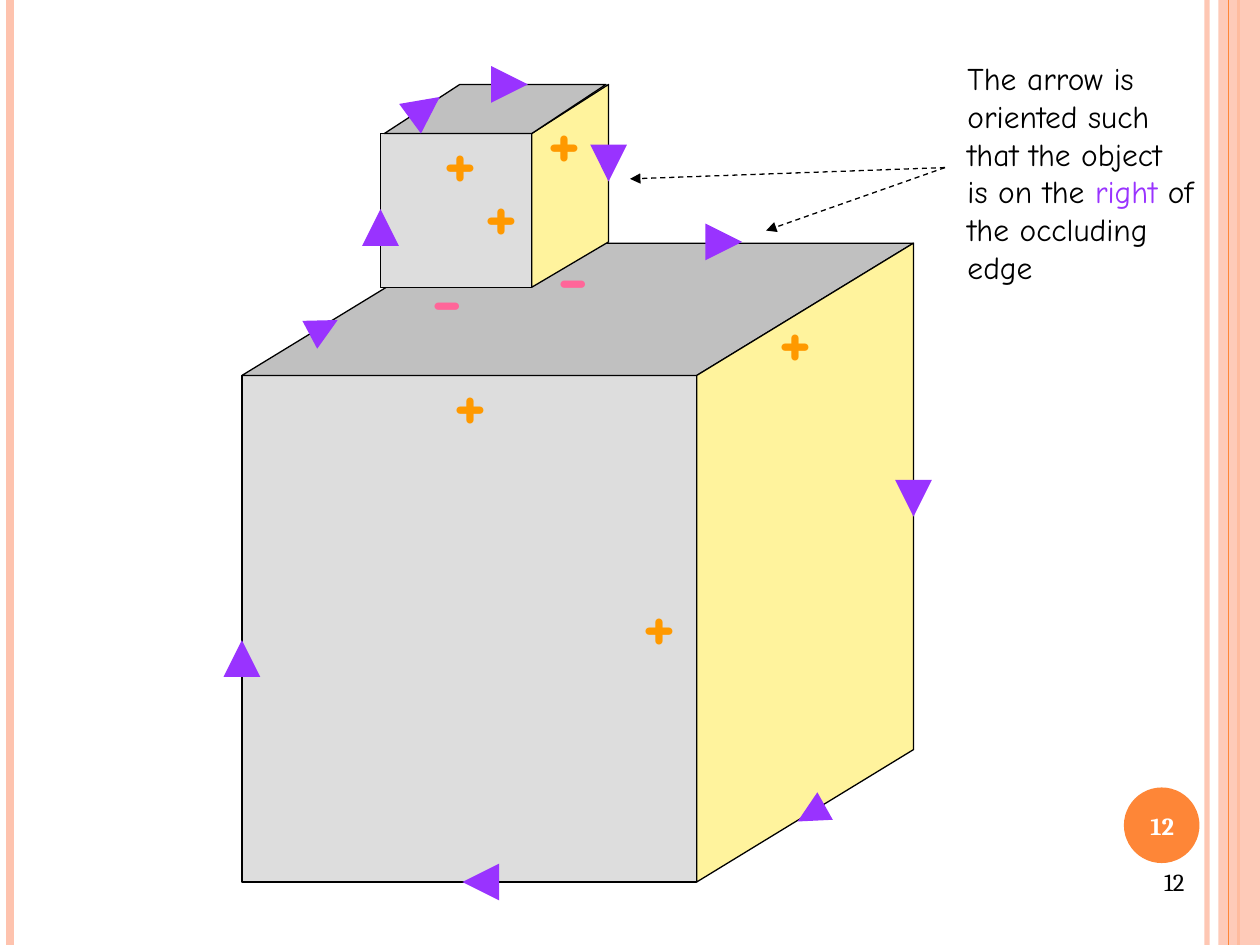
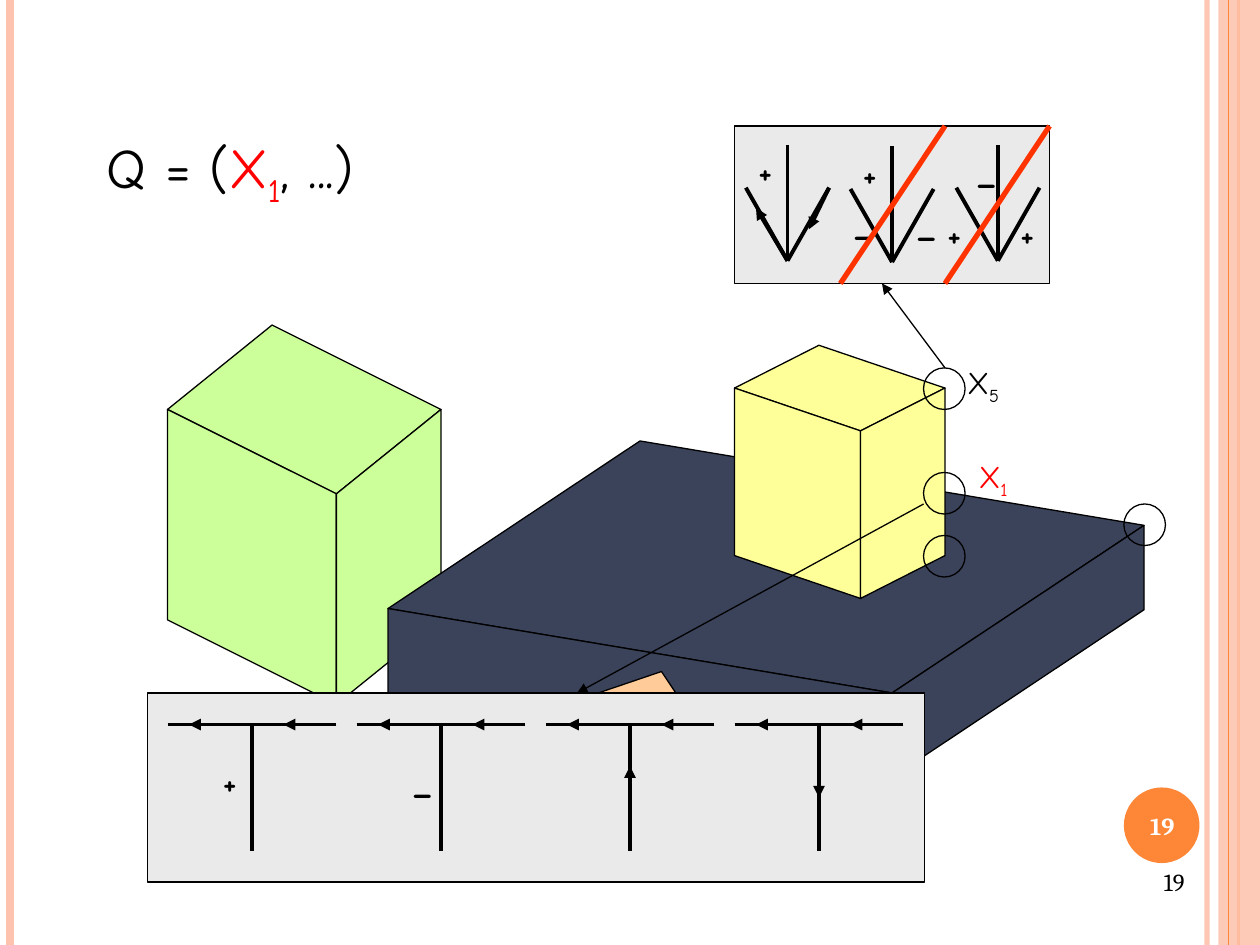
from pptx import Presentation
from pptx.dml.color import RGBColor as RGB
from pptx.enum.dml import MSO_LINE as Dash
from pptx.enum.shapes import MSO_CONNECTOR as Link, MSO_SHAPE as Kind
from pptx.enum.text import MSO_ANCHOR as Anchor, MSO_AUTO_SIZE as Fit, PP_ALIGN as Align
from pptx.oxml.ns import qn
from pptx.oxml.xmlchemy import OxmlElement as Tag
from pptx.util import Inches, Pt


class Theme:
    black, white = "000000", "FFFFFF"
    peach, orange = "FEC3AE", "FE8637"
    front, top, side = "DDDDDD", "C0C0C0", "FFF39D"
    green, navy, lemon, sand = "CCFF99", "3B435B", "FFFF99", "FFCC99"
    panel, purple, plus, minus = "EAEAEA", "9933FF", "FF9900", "FF6699"
    red, slash = "FF0000", "FF3300"
    hand, serif = "Comic Neue", "Cambria"
    small, body, large, sign = 14, 18, 32, 44
    thin, bold = 0.75, 2.25


def line(slide, start, end, color=Theme.black, width=Theme.thin, head=False):
    link = slide.shapes.add_connector(Link.STRAIGHT, *map(Inches, start + end))
    link.line.color.rgb = RGB.from_string(color)
    link.line.width = Pt(width)
    props = link._element.spPr
    if head:
        tail = Tag("a:tailEnd")
        tail.set("type", "triangle")
        props.find(qn("a:ln")).append(tail)
    props.append(Tag("a:effectLst"))
    return link


def text(slide, box, rows, size, font=Theme.hand, bold=False, align=None):
    """Each row is a list of (words, colour) or (words, colour, baseline)."""
    frame = slide.shapes.add_textbox(*map(Inches, box)).text_frame
    frame.word_wrap = align is not None
    if align is None:
        frame.auto_size = Fit.SHAPE_TO_FIT_TEXT
    for i, row in enumerate(rows):
        para = frame.add_paragraph() if i else frame.paragraphs[0]
        para.alignment = align
        for words, color, *base in row:
            run = para.add_run()
            run.text = words
            run.font.name, run.font.size, run.font.bold = font, Pt(size), bold
            run.font.color.rgb = RGB.from_string(color)
            if base:
                run._r.get_or_add_rPr().set("baseline", str(base[0] * 1000))
    return frame


deck = Presentation()
deck.slide_width, deck.slide_height = Inches(10), Inches(7.5)
cubes, scene = [deck.slides.add_slide(deck.slide_layouts[6]) for _ in range(2)]

# Side bands and number disc
for slide, num in (cubes, "12"), (scene, "19"):
    rail = line(slide, (9.58, 0), (9.58, 7.5), Theme.peach, 3)
    line(slide, (0.08, 0), (0.08, 7.5), Theme.peach, 4.5)
    line(slide, (9.83, 0), (9.83, 7.5), Theme.orange, 1.5)
    band = slide.shapes.add_shape(Kind.RECTANGLE, Inches(9.67), 0, Inches(0.33), Inches(7.5))
    line(slide, (9.75, 0), (9.75, 7.5), Theme.orange)
    disc = slide.shapes.add_shape(Kind.OVAL, *map(Inches, (8.92, 6.25, 0.6, 0.6)))
    for shape, color in (band, Theme.peach), (disc, Theme.orange):
        shape.shadow.inherit = False
        shape.fill.solid()
        shape.fill.fore_color.rgb = RGB.from_string(color)
        shape.line.fill.background()
    for shape, share in (rail, 93), (band, 87):
        alpha = Tag("a:alpha")
        alpha.set("val", str(share * 1000))
        next(shape._element.spPr.iter(qn("a:srgbClr"))).append(alpha)
    frame = text(slide, (8.89, 6.27, 0.67, 0.57), [[(num, Theme.white)]],
                 Theme.small, Theme.serif, True, Align.CENTER)
    frame.vertical_anchor = Anchor.MIDDLE
    text(slide, (7.17, 6.83, 2.33, 0.52), [[(num, Theme.black)]],
         Theme.small, Theme.serif, align=Align.RIGHT)

# Faces from back to front: two corners make a rectangle, more an outline
faces = [
    (cubes, Theme.front, [(1.92, 2.98), (5.53, 7)]),
    (cubes, Theme.top, [(7.25, 1.93), (3.64, 1.93), (1.92, 2.98), (5.53, 2.98)]),
    (cubes, Theme.side, [(5.53, 2.98), (7.25, 1.93), (7.25, 5.95), (5.53, 7)]),
    (cubes, Theme.front, [(3.02, 1.06), (4.22, 2.28)]),
    (cubes, Theme.side, [(4.22, 1.06), (4.22, 2.28), (4.83, 1.92), (4.83, 0.67)]),
    (cubes, Theme.top, [(4.22, 1.06), (4.81, 0.67), (3.65, 0.67), (3.05, 1.06)]),
]

# Each block has left, near and right top corners and a height
blocks = [
    (Theme.green, (1.33, 3.25), (2.67, 3.92), (3.5, 3.25), 1.67),
    (Theme.navy, (3.08, 4.83), (7.08, 5.5), (9.08, 4.17), 0.67),
    (Theme.lemon, (5.83, 3.08), (6.83, 3.42), (7.5, 3.08), 1.33),
]
for color, left, near, right, high in blocks:
    far = (left[0] + right[0] - near[0], left[1] + right[1] - near[1])
    faces.append((scene, color, [left, near, right, far]))
    for end in left, right:
        low = [(x, y + high) for x, y in (near, end)]
        faces.append((scene, color, [end, near, *low]))
faces += [
    (scene, Theme.sand, [(4.08, 6.17), (5.42, 6.5), (4.75, 5.5)]),
    (scene, Theme.sand, [(4.75, 5.5), (5.25, 5.33), (5.92, 6.33), (5.42, 6.5)]),
    (scene, Theme.panel, [(1.17, 5.5), (7.34, 7)]),
    (scene, Theme.panel, [(5.83, 1), (8.33, 2.25)]),
]
for slide, color, spots in faces:
    if len(spots) == 2:
        (x, y), (right, low) = spots
        face = slide.shapes.add_shape(Kind.RECTANGLE, *map(Inches, (x, y, right - x, low - y)))
    else:
        pts = [(Inches(x), Inches(y)) for x, y in spots]
        form = slide.shapes.build_freeform(*pts[0])
        form.add_line_segments(pts[1:], close=True)
        face = form.convert_to_shape()
    face.shadow.inherit = False
    face.fill.solid()
    face.fill.fore_color.rgb = RGB.from_string(color)
    face.line.color.rgb = RGB.from_string(Theme.black)
    face.line.width = Pt(Theme.thin)

# Slide 12: convex and concave signs
signs = [
    ("+", Theme.plus, [(3.42, 0.83), (4.25, 0.67), (3.75, 1.25), (3.5, 2.75), (6.08, 2.25), (5, 4.5)]),
    ("-", Theme.minus, [(3.33, 1.92), (4.33, 1.75)]),
]
for sign, color, spots in signs:
    for spot in spots:
        text(cubes, spot + (0.57, 0.83), [[(sign, color)]], Theme.sign, bold=True)

# Slide 12: arrows on the occluding edges
edges = [
    ((3.85, 7), (3.67, 7), 7), ((2.51, 2.63), (2.68, 2.54), 6),
    ((5.7, 1.92), (5.89, 1.92), 7), ((4.01, 0.67), (4.19, 0.67), 7),
    ((1.92, 5.27), (1.92, 5.08), 7), ((6.49, 6.43), (6.33, 6.52), 6),
    ((3.02, 1.85), (3.02, 1.66), 7), ((4.83, 1.25), (4.83, 1.44), 7),
    ((7.25, 3.92), (7.25, 4.1), 7), ((3.34, 0.88), (3.49, 0.77), 7),
]
for start, end, width in edges:
    line(cubes, start, end, Theme.purple, width, True)

# Slide 12: note and its pointers
note = [[(words, Theme.black)] for words in (
    "The arrow is", "oriented such", "that the object", "is on the ", "the occluding", "edge")]
note[3] += [("right", Theme.purple), (" of", Theme.black)]
text(cubes, (7.58, 0.42, 2.19, 1.9), note, Theme.body)
for end in (6.08, 1.83), (5, 1.42):
    link = line(cubes, (7.5, 1.33), end, head=True)
    link.line.dash_style = Dash.DASH

# Slide 19: four T junctions
for i in range(4):
    x = 2 + 1.5 * i
    line(scene, (x - 0.67, 5.75), (x + 0.67, 5.75), width=Theme.bold)
    line(scene, (x, 5.75), (x, 6.75), width=Theme.bold)
    line(scene, (x + 0.67, 5.75), (x + 0.25, 5.75), width=Theme.bold, head=True)
    line(scene, (x, 5.75), (x - 0.5, 5.75), width=Theme.bold, head=True)
line(scene, (5, 6.75), (5, 6.08), width=Theme.bold, head=True)
line(scene, (6.5, 5.75), (6.5, 6.33), width=Theme.bold, head=True)

# Slide 19: three arrow junctions
for x, y in (6.25, 2.07), (7.08, 2.08), (7.92, 2.07):
    for dx, dy in (-0.33, 0.58), (0.33, 0.58), (0, 0.92):
        line(scene, (x + dx, y - dy), (x, y), width=Theme.bold)
line(scene, (6.58, 1.49), (6.42, 1.82), width=Theme.bold, head=True)
line(scene, (6.25, 2.07), (6, 1.65), width=Theme.bold, head=True)

# Slide 19: signs in both panels
for spot in (1.67, 6.01), (5.92, 1.16), (6.75, 1.18), (7.42, 1.66), (8, 1.66):
    text(scene, spot + (0.35, 0.4), [[("+", Theme.black)]], Theme.body, bold=True)
for spot in (3.17, 5.94), (6.67, 1.51), (7.17, 1.52), (7.64, 1.1):
    text(scene, spot + (0.39, 0.63), [[("-", Theme.black)]], Theme.large)

# Slide 19: ringed corners, pointers and struck-out labels
for spot in (7.33, 3.75), (7.33, 2.92), (8.92, 4), (7.33, 4.25):
    ring = scene.shapes.add_shape(Kind.OVAL, *map(Inches, spot + (0.33, 0.33)))
    ring.shadow.inherit = False
    ring.fill.background()
    ring.line.color.rgb = RGB.from_string(Theme.black)
    ring.line.width = Pt(Theme.thin)
line(scene, (7.33, 4), (4.58, 5.5), head=True)
line(scene, (7.5, 2.92), (7, 2.25), head=True)
for x in 6.67, 7.5:
    line(scene, (x, 2.25), (x + 0.83, 1), Theme.slash, 3)

# Slide 19: variables and queue
for num, color, box in ("1", Theme.red, (7.67, 3.58, 0.46, 0.4)), ("5", Theme.black, (7.58, 2.83, 0.48, 0.4)):
    text(scene, box, [[("X", color), (num, color, -25)]], Theme.body)
queue = [("Q = (", Theme.black), ("X", Theme.red), ("1", Theme.red, -25), (", ...)", Theme.black)]
text(scene, (0.75, 1, 2.45, 0.63), [queue], Theme.large)

deck.save("out.pptx")
